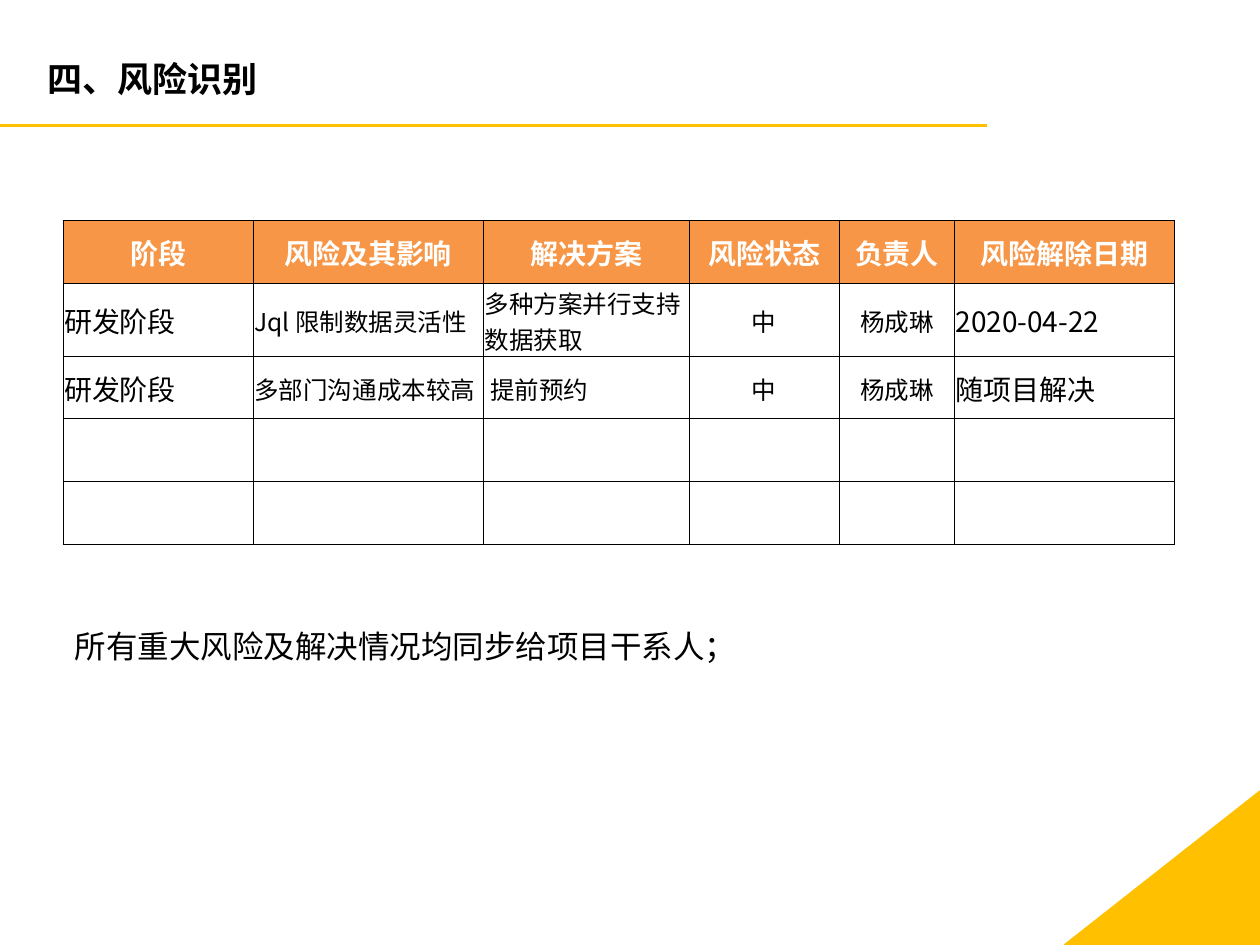
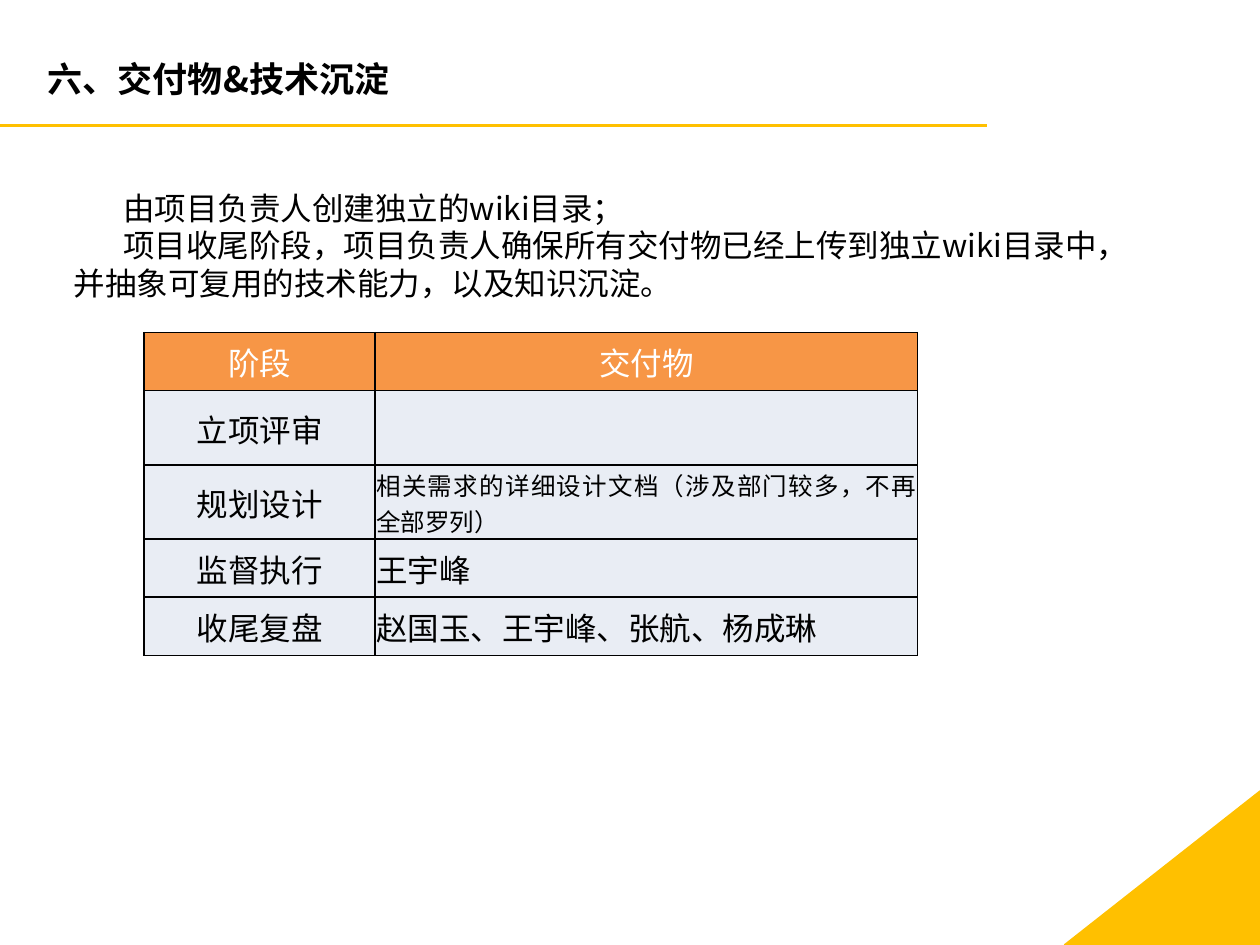
from dataclasses import dataclass

from lxml.etree import SubElement
from pptx import Presentation
from pptx.dml.color import RGBColor
from pptx.enum.shapes import MSO_CONNECTOR, MSO_SHAPE
from pptx.enum.text import MSO_ANCHOR, PP_ALIGN
from pptx.oxml.ns import qn
from pptx.util import Pt


@dataclass(frozen=True)
class Theme:
    """Colours, fonts and type sizes of the deck."""
    accent: str = "FFC000"
    header: str = "F79646"
    band: str = "E9EDF4"
    ink: str = "000000"
    paper: str = "FFFFFF"
    font: str = "Noto Sans CJK SC"
    note_font: str = "Calibri"
    header_font: str = "Arial"
    title: int = 20
    body: int = 18
    cell: int = 16
    small: int = 14
    leading: float = 21.5


class Deck:
    """Holds the theme and the slide being drawn."""

    def __init__(self, theme):
        """Start an empty 10 by 7.5 inch presentation."""
        self.theme = theme
        self.prs = Presentation()
        self.prs.slide_width, self.prs.slide_height = Pt(720), Pt(540)

    def page(self, title):
        """Add a slide with its rule, corner and title."""
        t = self.theme
        self.slide = self.prs.slides.add_slide(self.prs.slide_layouts[6])
        self.rule(0, 71.6, 564, 71.6)
        self.corner(620.6, 440.6, 87.8, 111.6)
        self.text([title], (20.2, 0, 648, 90), anchor=MSO_ANCHOR.MIDDLE,
                  size=t.title, bold=True)

    def rule(self, x1, y1, x2, y2):
        """Draw a straight accent line."""
        ln = self.slide.shapes.add_connector(
            MSO_CONNECTOR.STRAIGHT, Pt(x1), Pt(y1), Pt(x2), Pt(y2))
        ln.line.color.rgb = RGBColor.from_string(self.theme.accent)
        ln.line.width = Pt(1.5)
        SubElement(ln._element.spPr, qn("a:effectLst"))

    def corner(self, x, y, w, h):
        """Draw the turned triangle in the lower right corner."""
        sp = self.slide.shapes.add_shape(
            MSO_SHAPE.RIGHT_TRIANGLE, Pt(x), Pt(y), Pt(w), Pt(h))
        color = RGBColor.from_string(self.theme.accent)
        sp.shadow.inherit = False
        sp.rotation = 270
        sp.fill.solid()
        sp.fill.fore_color.rgb = color
        sp.line.color.rgb = color
        sp.line.width = Pt(2)

    def run(self, p, text, size, font=None, color=None, bold=False):
        """Add one formatted run to a paragraph."""
        t = self.theme
        r = p.add_run()
        r.text = text
        style = {"size": Pt(size), "name": font or t.font, "bold": bold}
        for name, value in style.items():
            setattr(r.font, name, value)
        r.font.color.rgb = RGBColor.from_string(color or t.ink)
        SubElement(r._r.get_or_add_rPr(), qn("a:ea"), typeface=t.font)

    def text(self, lines, box, anchor=MSO_ANCHOR.TOP, indent=0, **style):
        """Add a wrapped text box, one paragraph per line."""
        tf = self.slide.shapes.add_textbox(*map(Pt, box)).text_frame
        tf.word_wrap = True
        tf.vertical_anchor = anchor
        for i, line in enumerate(lines):
            p = tf.add_paragraph() if i else tf.paragraphs[0]
            if anchor == MSO_ANCHOR.TOP:
                p.line_spacing = Pt(self.theme.leading)
            if indent:
                p._p.get_or_add_pPr().set("indent", str(Pt(indent)))
            self.run(p, line, **style)

    def cell(self, cell, text, fill, border, align=PP_ALIGN.LEFT, inset=0.7,
             **style):
        """Border, fill and write one table cell."""
        tc_pr = cell._tc.get_or_add_tcPr()
        for side in ("lnL", "lnR", "lnT", "lnB"):
            ln = SubElement(tc_pr, qn(f"a:{side}"), w=str(Pt(border)))
            solid = SubElement(ln, qn("a:solidFill"))
            SubElement(solid, qn("a:srgbClr"), val=self.theme.ink)
        if fill:
            cell.fill.solid()
            cell.fill.fore_color.rgb = RGBColor.from_string(fill)
        else:
            cell.fill.background()
        layout = {"margin_left": Pt(inset), "margin_right": Pt(0.7),
                  "margin_top": Pt(0.7), "margin_bottom": 0,
                  "vertical_anchor": MSO_ANCHOR.MIDDLE}
        for name, value in layout.items():
            setattr(cell, name, value)
        if text:
            p = cell.text_frame.paragraphs[0]
            p.alignment = align
            self.run(p, text, **style)

    def table(self, x, y, widths, heights, rows, columns, head, fill=None,
              border=1, special=None):
        """Add a table; columns, head and special give cell formats."""
        t = self.theme
        tbl = self.slide.shapes.add_table(
            len(heights), len(widths), Pt(x), Pt(y),
            Pt(sum(widths)), Pt(sum(heights))).table
        tbl.first_row = tbl.horz_banding = False
        for col, w in zip(tbl.columns, widths):
            col.width = Pt(w)
        for row, h in zip(tbl.rows, heights):
            row.height = Pt(h)
        head = {"align": PP_ALIGN.CENTER, "color": t.paper, **head}
        for i in range(len(heights)):
            texts = rows[i] if i < len(rows) else [""] * len(widths)
            for j, text in enumerate(texts):
                style = {**columns[j], **(special or {}).get((i, j), {})}
                self.cell(tbl.cell(i, j), text, fill if i else t.header,
                          border, **(style if i else head))


def risks(deck):
    """Slide on the identified risks."""
    t = deck.theme
    deck.page("四、风险识别")
    large, small = {"size": t.cell}, {"size": t.small}
    centred = {**small, "align": PP_ALIGN.CENTER}
    deck.table(
        36, 126, [108.7, 131.5, 117.6, 85.9, 65.8, 125.6],
        [36, 41.8, 35.6, 35.9, 35.9],
        [["阶段", "风险及其影响", "解决方案", "风险状态", "负责人", "风险解除日期"],
         ["研发阶段", "Jql 限制数据灵活性", "多种方案并行支持数据获取", "中", "杨成琳",
          "2020-04-22"],
         ["研发阶段", "多部门沟通成本较高", "提前预约", "中", "杨成琳", "随项目解决"]],
        columns=[large, small, small, centred, centred, large],
        head={"size": t.cell, "font": t.header_font, "bold": True},
        border=0.5, special={(2, 2): {"inset": 4}})
    deck.text(["所有重大风险及解决情况均同步给项目干系人；"], (35.7, 355, 590, 29),
              size=t.body, font=t.note_font)


def deliverables(deck):
    """Slide on deliverables and reusable know-how."""
    t = deck.theme
    deck.page("六、交付物&技术沉淀")
    deck.text(["由项目负责人创建独立的wiki目录；",
               "项目收尾阶段，项目负责人确保所有交付物已经上传到独立wiki目录中，"
               "并抽象可复用的技术能力，以及知识沉淀。"],
              (35, 104.4, 623.5, 72.7), indent=28.5, size=t.body)
    deck.table(
        82.2, 190, [132.2, 310], [33.2, 42.4, 42.5, 33.2, 33.2],
        [["阶段", "交付物"],
         ["立项评审", ""],
         ["规划设计", "相关需求的详细设计文档（涉及部门较多，不再全部罗列）"],
         ["监督执行", "王宇峰"],
         ["收尾复盘", "赵国玉、王宇峰、张航、杨成琳"]],
        columns=[{"size": t.body, "align": PP_ALIGN.CENTER},
                 {"size": t.body, "align": PP_ALIGN.JUSTIFY}],
        head={"size": t.body}, fill=t.band,
        special={(2, 1): {"size": t.small}})


def main():
    """Build and save the deck."""
    deck = Deck(Theme())
    risks(deck)
    deliverables(deck)
    deck.prs.save("out.pptx")


main()
